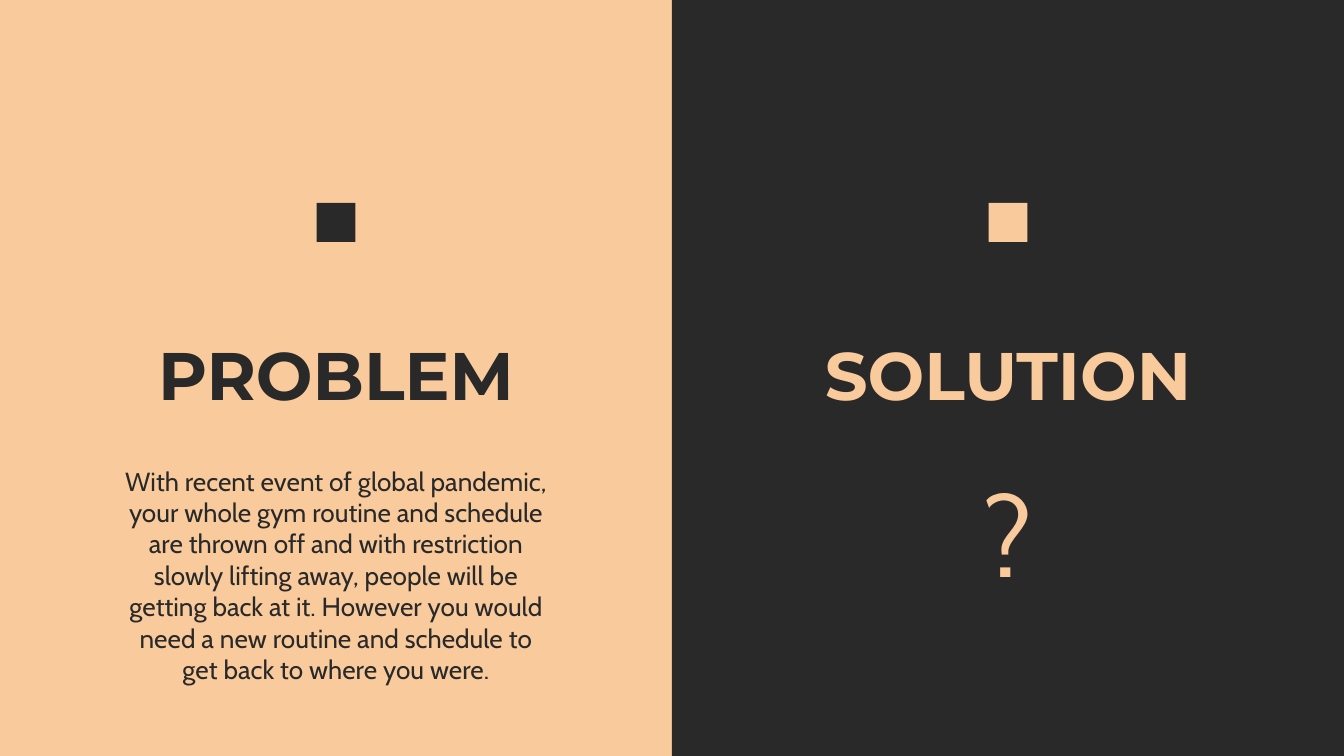
from dataclasses import dataclass

from pptx import Presentation
from pptx import util as u
from pptx.dml.color import RGBColor
from pptx.enum import shapes, text

WIDE = 10
HIGH = WIDE * 9 / 16
HALF = WIDE / 2


@dataclass(frozen=True)
class Theme:
    """Colours, fonts and type sizes."""
    peach: RGBColor = RGBColor.from_string("F9CB9C")
    dark: RGBColor = RGBColor.from_string("2A2929")
    head: str = "Montserrat"
    body: str = "Cabin"
    title: int = 36
    copy: int = 14
    mark: int = 60


class Deck:
    """Draws styled elements on the current slide."""

    def __init__(self, theme, slide):
        self.theme = theme
        self.slide = slide

    def ground(self, color):
        fill = self.slide.background.fill
        fill.solid()
        fill.fore_color.rgb = color

    def block(self, x, y, w, h, color):
        box = self.slide.shapes.add_shape(
            shapes.MSO_SHAPE.RECTANGLE, *map(u.Inches, (x, y, w, h)))
        box.shadow.inherit = False
        box.fill.solid()
        box.fill.fore_color.rgb = color
        box.line.fill.background()

    def label(self, words, x, y, w, h, face, size, color, bold=False,
              anchor=text.MSO_ANCHOR.TOP):
        box = self.slide.shapes.add_textbox(*map(u.Inches, (x, y, w, h)))
        frame = box.text_frame
        frame.word_wrap = True
        frame.vertical_anchor = anchor
        frame.margin_left = frame.margin_right = u.Inches(0.1)
        frame.margin_top = frame.margin_bottom = u.Inches(0.1)
        para = frame.paragraphs[0]
        para.text = words
        para.alignment = text.PP_ALIGN.CENTER
        font = para.font
        font.name, font.size, font.bold = face, u.Pt(size), bold
        font.color.rgb = color

    def panel(self, left, title, words, size, color):
        theme = self.theme
        side, wide = 0.29, 3.41
        mid = left + HALF / 2
        edge = mid - wide / 2
        self.block(mid - side / 2, 1.51, side, side, color)
        self.label(title, edge, 2.22, wide, 0.96, theme.head,
                   theme.title, color, True, text.MSO_ANCHOR.BOTTOM)
        self.label(words, edge, 3.36, wide, 1.39, theme.body, size, color)


def main():
    show = Presentation()
    show.slide_width, show.slide_height = u.Inches(WIDE), u.Inches(HIGH)
    theme = Theme()
    deck = Deck(theme, show.slides.add_slide(show.slide_layouts[6]))
    deck.ground(theme.peach)
    deck.block(HALF, 0, HALF, HIGH, theme.dark)
    story = (
        "With recent event of global pandemic, your whole gym routine and "
        "schedule are thrown off and with restriction slowly lifting away, "
        "people will be getting back at it. However you would need a new "
        "routine and schedule to get back to where you were.")
    deck.panel(0, "PROBLEM", story, theme.copy, theme.dark)
    deck.panel(HALF, "SOLUTION", "?", theme.mark, theme.peach)
    show.save("out.pptx")


if __name__ == "__main__":
    main()
